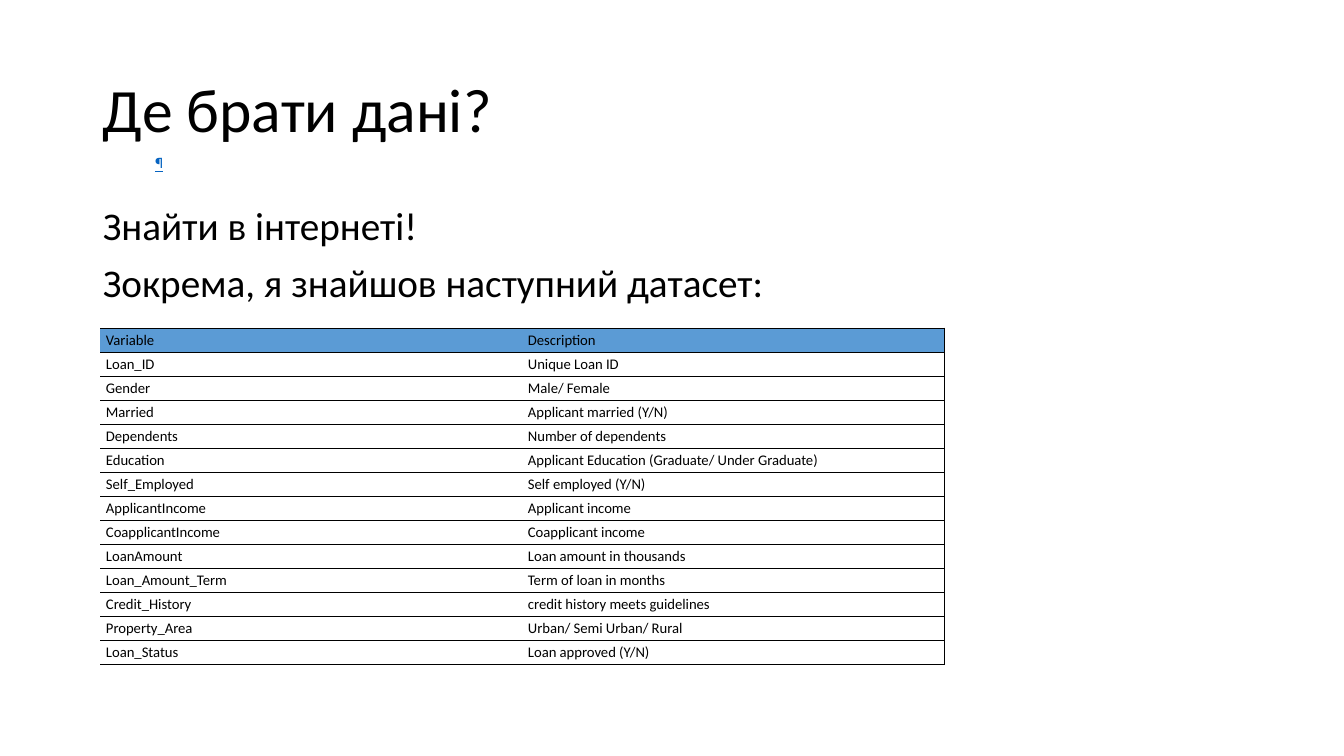
from typing import NamedTuple

from lxml import etree
from pptx import Presentation
from pptx.dml.color import RGBColor
from pptx.enum.text import MSO_ANCHOR
from pptx.oxml.ns import qn
from pptx.util import Emu, Pt

TOP, MIDDLE = MSO_ANCHOR.TOP, MSO_ANCHOR.MIDDLE
WIDE, HIGH = 1344, 756
SCALE = 12192000 / WIDE
BLACK, WHITE, BLUE, LINK = "000000", "FFFFFF", "5B9BD5", "0563C1"


class Box(NamedTuple):
    left: int
    top: int
    width: int
    height: int


class Label(NamedTuple):
    box: Box
    lines: list[str]
    anchor: MSO_ANCHOR
    style: dict


class Field(NamedTuple):
    name: str
    about: str


LABELS = [
    Label(Box(93, 40, 1159, 146), ["Де брати дані?"], MIDDLE,
          dict(size=44, spacing=0.9)),
    Label(Box(93, 202, 1159, 480),
          ["Знайти в інтернеті!", "Зокрема, я знайшов наступний датасет:"], TOP,
          dict(size=28, spacing=0.9, before=10)),
    Label(Box(145, 150, 1199, 57), ["¶"], TOP,
          dict(size=10, font="Inter", color=LINK, under=True)),
]

GRID = Box(100, 328, 844, 337)
FIELDS = [
    Field("Variable", "Description"),
    Field("Loan_ID", "Unique Loan ID"),
    Field("Gender", "Male/ Female"),
    Field("Married", "Applicant married (Y/N)"),
    Field("Dependents", "Number of dependents"),
    Field("Education", "Applicant Education (Graduate/ Under Graduate)"),
    Field("Self_Employed", "Self employed (Y/N)"),
    Field("ApplicantIncome", "Applicant income"),
    Field("CoapplicantIncome", "Coapplicant income"),
    Field("LoanAmount", "Loan amount in thousands"),
    Field("Loan_Amount_Term", "Term of loan in months"),
    Field("Credit_History", "credit history meets guidelines"),
    Field("Property_Area", "Urban/ Semi Urban/ Rural"),
    Field("Loan_Status", "Loan approved (Y/N)"),
]


def px(count: float) -> Emu:
    return Emu(round(count * SCALE))


def rgb(code: str) -> RGBColor:
    return RGBColor.from_string(code)


def write(para, text: str, *, size: float, font: str = "Calibri",
          color: str = BLACK, under: bool = False, spacing: float = 1.0,
          before: float = 0) -> None:
    para.line_spacing = spacing
    para.space_before = Pt(before)
    run = para.add_run()
    run.text = text
    run.font.size = Pt(size)
    run.font.name = font
    run.font.color.rgb = rgb(color)
    if under:
        run.font.underline = True


def add_label(slide, label: Label) -> None:
    frame = slide.shapes.add_textbox(*map(px, label.box)).text_frame
    frame.word_wrap = True
    frame.vertical_anchor = label.anchor
    for i, line in enumerate(label.lines):
        para = frame.add_paragraph() if i else frame.paragraphs[0]
        write(para, line, **label.style)


def add_edges(cell, shown: str) -> None:
    """Draw the sides named in shown; leave the others bare."""
    props = cell._tc.get_or_add_tcPr()
    for side in "LRTB":
        edge = etree.SubElement(props, qn(f"a:ln{side}"))
        if side in shown:
            edge.set("w", str(Pt(0.6)))
            fill = etree.SubElement(edge, qn("a:solidFill"))
            etree.SubElement(fill, qn("a:srgbClr"), val=BLACK)
        else:
            edge.set("w", "0")
            etree.SubElement(edge, qn("a:noFill"))


def fill_cell(cell, text: str, back: str, shown: str) -> None:
    cell.vertical_anchor = MIDDLE
    cell.margin_left = cell.margin_right = px(6)
    cell.margin_top = cell.margin_bottom = px(3)
    add_edges(cell, shown)
    cell.fill.solid()
    cell.fill.fore_color.rgb = rgb(back)
    write(cell.text_frame.paragraphs[0], text, size=10.5)


def add_grid(slide, box: Box, fields: list[Field]) -> None:
    count = len(Field._fields)
    table = slide.shapes.add_table(len(fields), count, *map(px, box)).table
    table.first_row = table.horz_banding = False
    for col in table.columns:
        col.width = px(box.width / count)
    for r, field in enumerate(fields):
        table.rows[r].height = px(box.height / len(fields))
        for c, text in enumerate(field):
            shown = "RTB" if c == count - 1 else "TB"
            fill_cell(table.cell(r, c), text, WHITE if r else BLUE, shown)


def main() -> None:
    deck = Presentation()
    deck.slide_width, deck.slide_height = px(WIDE), px(HIGH)
    slide = deck.slides.add_slide(deck.slide_layouts[6])

    # Heading, body and link mark
    for label in LABELS:
        add_label(slide, label)

    # Dataset fields
    add_grid(slide, GRID, FIELDS)
    deck.save("out.pptx")


if __name__ == "__main__":
    main()
